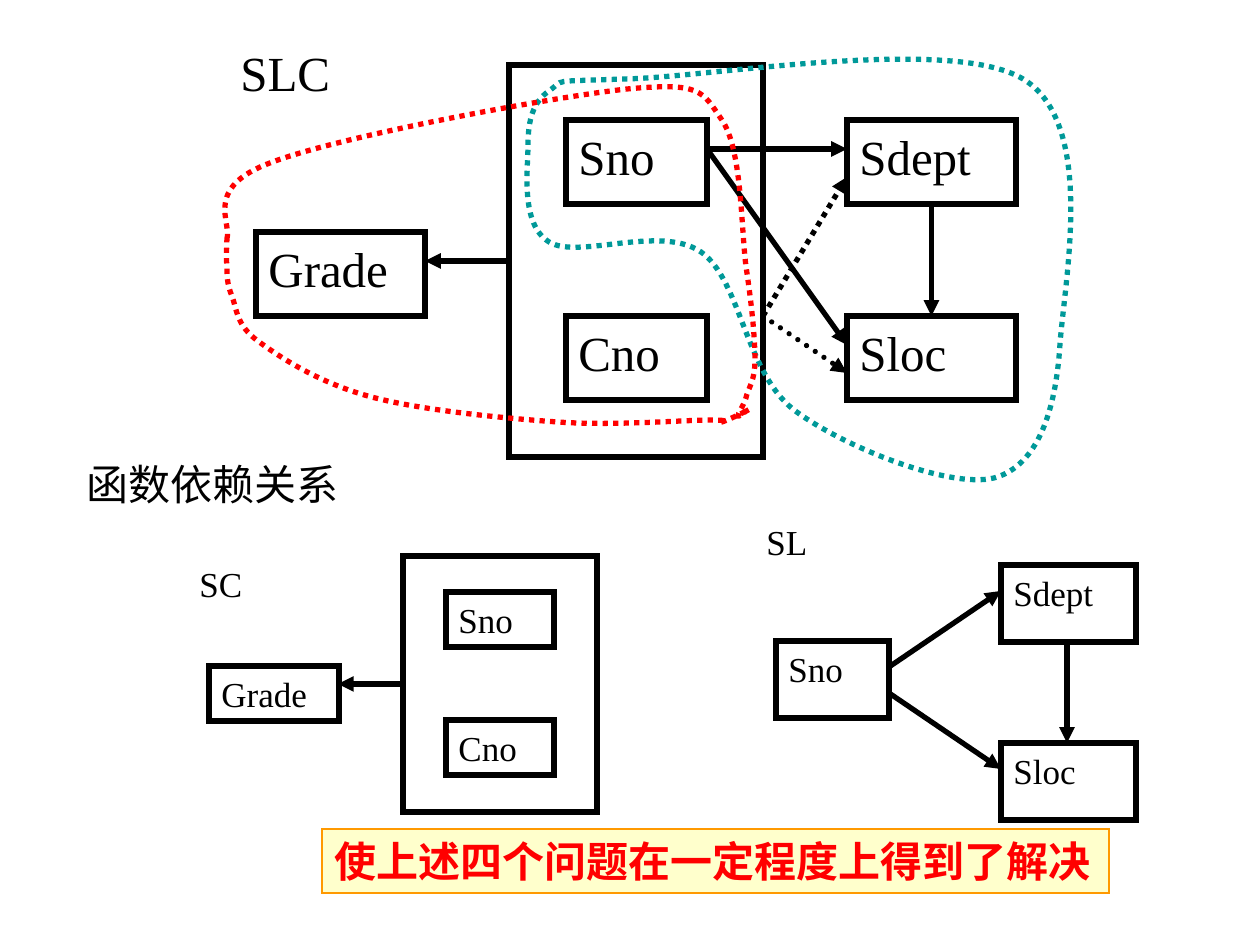
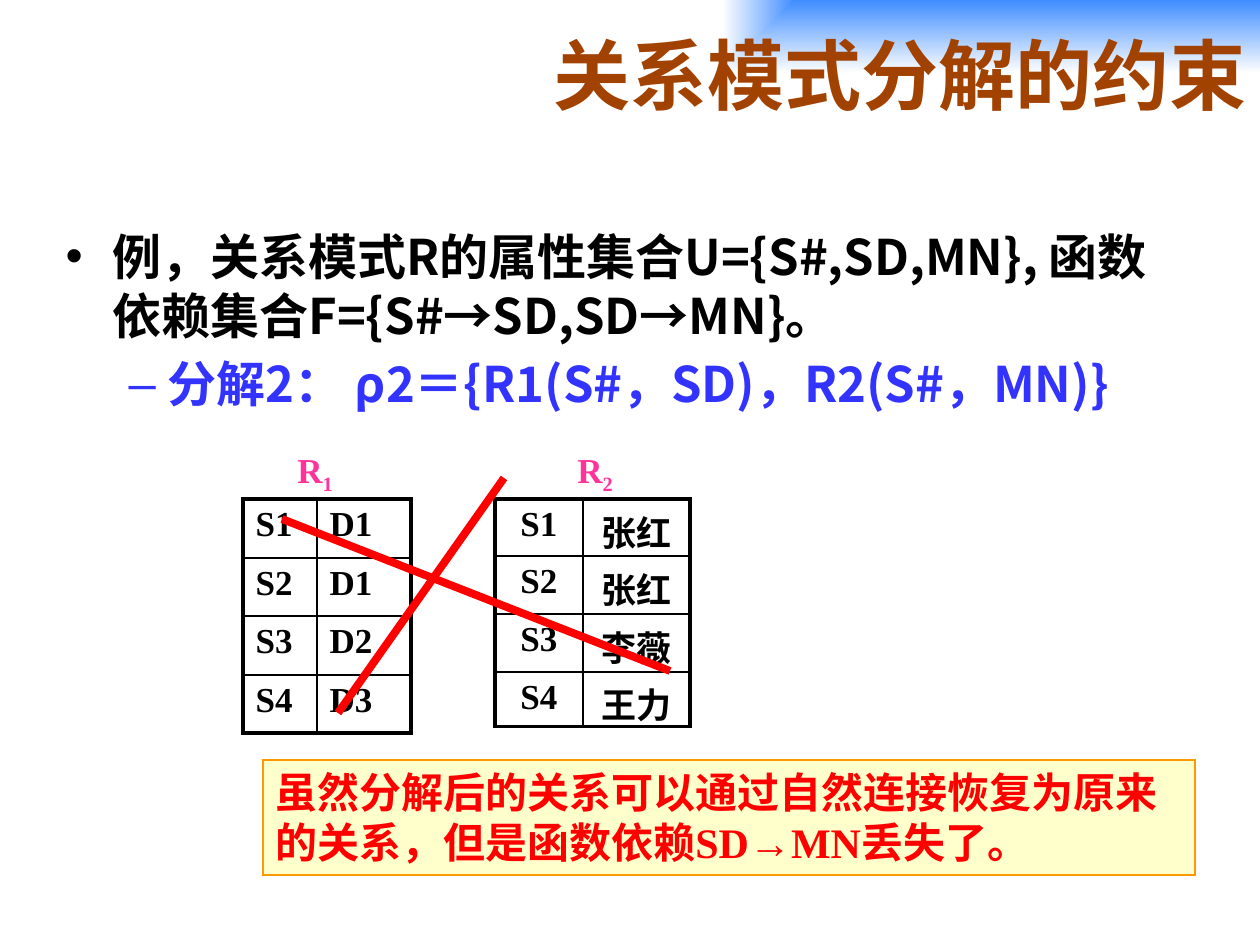
"""Build two slides on decomposing relation schemas."""
from typing import NamedTuple, Optional

from lxml import etree
from pptx import Presentation
from pptx.dml.color import RGBColor
from pptx.enum.dml import MSO_LINE
from pptx.enum.shapes import MSO_CONNECTOR, MSO_SHAPE
from pptx.enum.text import MSO_ANCHOR, MSO_AUTO_SIZE, PP_ALIGN
from pptx.oxml import parse_xml
from pptx.oxml.ns import qn
from pptx.util import Pt

PX = 914400 / 126
RECT, STRAIGHT = MSO_SHAPE.RECTANGLE, MSO_CONNECTOR.STRAIGHT
DOT = MSO_LINE.ROUND_DOT
TOP, MIDDLE = MSO_ANCHOR.TOP, MSO_ANCHOR.MIDDLE
LEFT, CENTER, RIGHT, JUSTIFY = PP_ALIGN.LEFT, PP_ALIGN.CENTER, PP_ALIGN.RIGHT, PP_ALIGN.JUSTIFY
FIT, NO_FIT = MSO_AUTO_SIZE.SHAPE_TO_FIT_TEXT, MSO_AUTO_SIZE.NONE

BLACK, RED, TEAL, PINK, BLUE, BROWN = "000000", "FF0000", "009999", "FF3399", "3333FF", "A24200"
CREAM, ORANGE = "FFFFCC", "FF9900"
SERIF, SANS, CJK_TITLE, CJK_BODY = "Times New Roman", "Arial", "Noto Sans CJK SC", "Noto Sans CJK JP"

TITLE_GRADIENT = (
    '<a:gradFill xmlns:a="http://schemas.openxmlformats.org/drawingml/2006/main" rotWithShape="0">'
    '<a:gsLst><a:gs pos="0"><a:srgbClr val="3F8DFF"/></a:gs>'
    '<a:gs pos="100000"><a:srgbClr val="FFFFFF"/></a:gs></a:gsLst>'
    '<a:path path="rect"><a:fillToRect l="100000" b="100000"/></a:path></a:gradFill>'
)


class Style(NamedTuple):
    """Text style."""
    size: int
    color: str = BLACK
    font: str = SERIF
    bold: bool = False
    align: PP_ALIGN = LEFT


class Box(NamedTuple):
    """Outlined box of a dependency diagram."""
    name: str
    x: int
    y: int
    w: int
    h: int
    text: str = ""


class Arrow(NamedTuple):
    """Straight line, optionally joined to (box name, side)."""
    x1: int
    y1: int
    x2: int
    y2: int
    start: Optional[tuple] = None
    end: Optional[tuple] = None
    dash: Optional[MSO_LINE] = None
    cap: str = "flat"


class Diagram(NamedTuple):
    """Dependency diagram with its label."""
    label: Box
    size: int
    boxes: list
    arrows: list


class Grid(NamedTuple):
    """Relation table with its label position."""
    x: int
    cols: list
    rows: list
    cells: list
    align: PP_ALIGN
    label_x: int


SLC = Diagram(
    Box("label", 228, 36, 169, 84, "SLC"), 28,
    [Box("frame", 509, 65, 254, 392), Box("sno", 566, 120, 141, 84, "Sno"),
     Box("cno", 566, 316, 141, 84, "Cno"), Box("grade", 256, 232, 169, 84, "Grade"),
     Box("sdept", 847, 120, 169, 84, "Sdept"), Box("sloc", 847, 316, 169, 84, "Sloc")],
    [Arrow(509, 261, 425, 261, ("frame", 1)), Arrow(707, 149, 847, 149),
     Arrow(707, 149, 847, 345), Arrow(763, 316, 847, 177, dash=DOT),
     Arrow(763, 316, 847, 373, dash=DOT, cap="rnd"),
     Arrow(931, 204, 931, 316, ("sdept", 2), ("sloc", 0))])
SC = Diagram(
    Box("label", 187, 556, 108, 55, "SC"), 20,
    [Box("frame", 403, 556, 194, 256), Box("sno", 446, 592, 108, 55, "Sno"),
     Box("cno", 446, 720, 108, 55, "Cno"), Box("grade", 209, 666, 130, 55, "Grade")],
    [Arrow(403, 684, 338, 684, ("frame", 1))])
SL = Diagram(
    Box("label", 754, 514, 135, 77, "SL"), 20,
    [Box("sno", 776, 641, 113, 77, "Sno"), Box("sdept", 1001, 565, 135, 77, "Sdept"),
     Box("sloc", 1001, 743, 135, 77, "Sloc")],
    [Arrow(889, 667, 1001, 591), Arrow(889, 693, 1001, 769), Arrow(1067, 642, 1067, 743)])

SL_LOOP = [
    (528, 145), (528, 120), (533, 102), (549, 91), (566, 79), (546, 82), (625, 79),
    (704, 78), (950, 35), (1023, 79), (1096, 123), (1065, 277), (1060, 344),
    (1056, 410), (1038, 466), (994, 478), (950, 489), (843, 447), (794, 410),
    (745, 372), (741, 280), (701, 252), (660, 224), (578, 260), (549, 242),
    (520, 224), (528, 170), (528, 145)]
SC_LOOP = [
    (227, 239), (232, 222), (203, 188), (270, 163), (336, 137), (552, 97), (627, 89),
    (702, 82), (702, 91), (722, 120), (742, 149), (741, 226), (746, 266),
    (752, 306), (755, 338), (755, 360), (755, 382), (748, 388), (746, 398),
    (743, 407), (738, 413), (738, 416), (738, 418), (742, 413), (745, 412),
    (746, 411), (752, 408), (748, 410), (745, 412), (728, 420), (722, 422),
    (716, 423), (737, 420), (711, 420), (683, 420), (615, 426), (558, 422),
    (501, 418), (418, 410), (368, 396), (318, 382), (281, 358), (258, 341),
    (236, 325), (237, 309), (232, 296), (227, 284), (227, 275), (227, 266),
    (226, 256), (227, 246), (227, 239)]

GRIDS = [
    Grid(243, [74, 94], [59, 58, 59, 58],
         [("S1", "D1"), ("S2", "D1"), ("S3", "D2"), ("S4", "D3")], LEFT, 285),
    Grid(495, [88, 107], [57, 58, 58, 54],
         [("S1", "张红"), ("S2", "张红"), ("S3", "李薇"), ("S4", "王力")], CENTER, 565)]


def emu(*px: float) -> list:
    """Turn px lengths into EMU."""
    return [round(v * PX) for v in px]


def rgb(color: str) -> RGBColor:
    """Turn a hex string into a colour."""
    return RGBColor.from_string(color)


def apply(target, values: dict) -> None:
    """Set each attribute in values on target."""
    for key, value in values.items():
        setattr(target, key, value)


def add_run(p, text: str, style: Style):
    """Add a styled run to a paragraph."""
    p.alignment = style.align
    r = p.add_run()
    r.text = text
    apply(r.font, {"size": Pt(style.size), "bold": style.bold, "name": style.font})
    r.font.color.rgb = rgb(style.color)
    if style.font in (CJK_TITLE, CJK_BODY):
        ea = etree.SubElement(r._r.get_or_add_rPr(), qn("a:ea"))
        ea.set("typeface", style.font)
    return r


def set_line(line, color: str, width: float, dash: Optional[MSO_LINE] = None) -> None:
    """Format an outline."""
    line.color.rgb = rgb(color)
    apply(line, {"width": Pt(width), "dash_style": dash})


def add_box(slide, box: Box, style: Style, color: str = BLACK, width: float = 3):
    """Draw a square-cornered outlined box with its text."""
    sp = slide.shapes.add_shape(RECT, *emu(*box[1:5]))
    sp.shadow.inherit = False
    sp.fill.background()
    set_line(sp.line, color, width)
    etree.SubElement(sp._element.spPr.get_or_add_ln(), qn("a:miter")).set("lim", "800000")
    apply(sp.text_frame, {"vertical_anchor": TOP, "word_wrap": True})
    if box.text:
        add_run(sp.text_frame.paragraphs[0], box.text, style)
    return sp


def add_label(slide, box: Box, style: Style, wrap: bool = True):
    """Draw a plain text box and return its paragraph."""
    tf = slide.shapes.add_textbox(*emu(*box[1:5])).text_frame
    apply(tf, {"word_wrap": wrap, "auto_size": NO_FIT if wrap else FIT})
    p = tf.paragraphs[0]
    add_run(p, box.text, style)
    return p


def add_line(slide, a: Arrow, color: str, width: float, head: bool, shapes: dict) -> None:
    """Draw a connector, joined where the arrow says so."""
    c = slide.shapes.add_connector(STRAIGHT, *emu(*a[:4]))
    if a.start:
        c.begin_connect(shapes[a.start[0]], a.start[1])
    if a.end:
        c.end_connect(shapes[a.end[0]], a.end[1])
    set_line(c.line, color, width, a.dash)
    sp_pr = c._element.spPr
    ln = sp_pr.get_or_add_ln()
    ln.set("cap", a.cap)
    if head:
        etree.SubElement(ln, qn("a:tailEnd")).set("type", "triangle")
    etree.SubElement(sp_pr, qn("a:effectLst"))


def add_diagram(slide, d: Diagram) -> None:
    """Draw a dependency diagram."""
    style = Style(d.size, align=JUSTIFY)
    shapes = {box.name: add_box(slide, box, style) for box in d.boxes}
    for arrow in d.arrows:
        add_line(slide, arrow, BLACK, 3, True, shapes)
    add_label(slide, d.label, style)


def add_loop(slide, points: list, color: str) -> None:
    """Draw a closed dotted outline, each three points making one Bezier curve."""
    fb = slide.shapes.build_freeform(*emu(*points[0]))
    fb.add_line_segments([emu(*pt) for pt in points[1:]], close=True)
    sp = fb.convert_to_shape()
    sp.shadow.inherit = False
    sp.fill.background()
    set_line(sp.line, color, 3, DOT)
    segments = list(sp._element.iter(qn("a:lnTo")))
    for i in range(0, len(segments), 3):
        curve = etree.Element(qn("a:cubicBezTo"))
        segments[i].addprevious(curve)
        for segment in segments[i:i + 3]:
            curve.append(segment[0])
            segment.getparent().remove(segment)


def add_banner(slide, box: Box, font: str, wrap: bool) -> None:
    """Draw a cream conclusion banner."""
    sp = add_box(slide, box, Style(24, RED, font, True), ORANGE, 0.75)
    sp.fill.solid()
    sp.fill.fore_color.rgb = rgb(CREAM)
    apply(sp.text_frame, {"word_wrap": wrap, "auto_size": FIT})


def set_borders(cell, widths: dict) -> None:
    """Put black borders of the given widths on a cell."""
    tc_pr = cell._tc.get_or_add_tcPr()
    for i, (side, width) in enumerate(widths.items()):
        ln = etree.Element(qn(f"a:ln{side}"), w=str(Pt(width)))
        fill = etree.SubElement(ln, qn("a:solidFill"))
        etree.SubElement(fill, qn("a:srgbClr")).set("val", BLACK)
        tc_pr.insert(i, ln)


def add_grid(slide, g: Grid, number: int) -> None:
    """Draw a relation table and its subscripted label."""
    style = Style(20, PINK, bold=True)
    p = add_label(slide, Box("label", g.label_x, 442, 62, 54, "R"), style, wrap=False)
    r = add_run(p, str(number), style)
    r._r.get_or_add_rPr().set("baseline", "-25000")
    n_rows, n_cols = len(g.rows), len(g.cols)
    table = slide.shapes.add_table(
        n_rows, n_cols, *emu(g.x, 499, sum(g.cols), sum(g.rows))).table
    apply(table, {"first_row": False, "horz_banding": False})
    for col, width in zip(table.columns, emu(*g.cols)):
        col.width = width
    for row, height in zip(table.rows, emu(*g.rows)):
        row.height = height
    for i, texts in enumerate(g.cells):
        for j, text in enumerate(texts):
            cell = table.cell(i, j)
            cell.fill.background()
            add_run(cell.text_frame.paragraphs[0], text, Style(20, bold=True, align=g.align))
            outer = {"L": j == 0, "R": j == n_cols - 1, "T": i == 0, "B": i == n_rows - 1}
            set_borders(cell, {side: 2.25 if edge else 1 for side, edge in outer.items()})


def place(sp, x: int, y: int, w: int, h: int) -> None:
    """Move a placeholder."""
    apply(sp, dict(zip(("left", "top", "width", "height"), emu(x, y, w, h))))
    apply(sp.text_frame, {"word_wrap": True, "auto_size": NO_FIT})


def dependency_slide(prs) -> None:
    """Build the slide of functional dependencies."""
    s = prs.slides.add_slide(prs.slide_layouts[6])
    add_diagram(s, SLC)
    add_loop(s, SL_LOOP, TEAL)
    add_loop(s, SC_LOOP, RED)
    add_label(s, Box("caption", 74, 452, 278, 63, "函数依赖关系"), Style(24), wrap=False)
    add_diagram(s, SC)
    add_diagram(s, SL)
    add_banner(s, Box("banner", 322, 829, 787, 64, "使上述四个问题在一定程度上得到了解决"), SANS, False)


def constraint_slide(prs) -> None:
    """Build the slide of decomposition constraints."""
    s = prs.slides.add_slide(prs.slide_layouts[1])
    title, body = s.shapes.title, s.placeholders[1]
    place(title, 184, 0, 1076, 147)
    title.text_frame.vertical_anchor = MIDDLE
    title._element.spPr.append(parse_xml(TITLE_GRADIENT))
    add_run(title.text_frame.paragraphs[0], "关系模式分解的约束",
            Style(44, BROWN, CJK_TITLE, True, RIGHT))
    place(body, 53, 220, 1134, 624)
    tf = body.text_frame
    add_run(tf.paragraphs[0], "例，关系模式R的属性集合U={S#,SD,MN}, 函数依赖集合F={S#→SD,SD→MN}。",
            Style(28, BLACK, CJK_BODY, True))
    p = tf.add_paragraph()
    p.level = 1
    add_run(p, "分解2： ρ2＝{R1(S#，SD)，R2(S#，MN)}", Style(28, BLUE, CJK_BODY, True, JUSTIFY))
    for number, grid in enumerate(GRIDS, 1):
        add_grid(s, grid, number)
    for stroke in (Arrow(504, 478, 338, 713), Arrow(282, 519, 670, 671)):
        add_line(s, stroke, RED, 4.5, False, {})
    add_banner(s, Box("banner", 263, 760, 932, 115,
                      "虽然分解后的关系可以通过自然连接恢复为原来的关系，但是函数依赖SD→MN丢失了。"), SERIF, True)


def main() -> None:
    """Build and save the presentation."""
    prs = Presentation()
    prs.slide_width, prs.slide_height = emu(1260, 945)
    dependency_slide(prs)
    constraint_slide(prs)
    prs.save("out.pptx")


if __name__ == "__main__":
    main()
